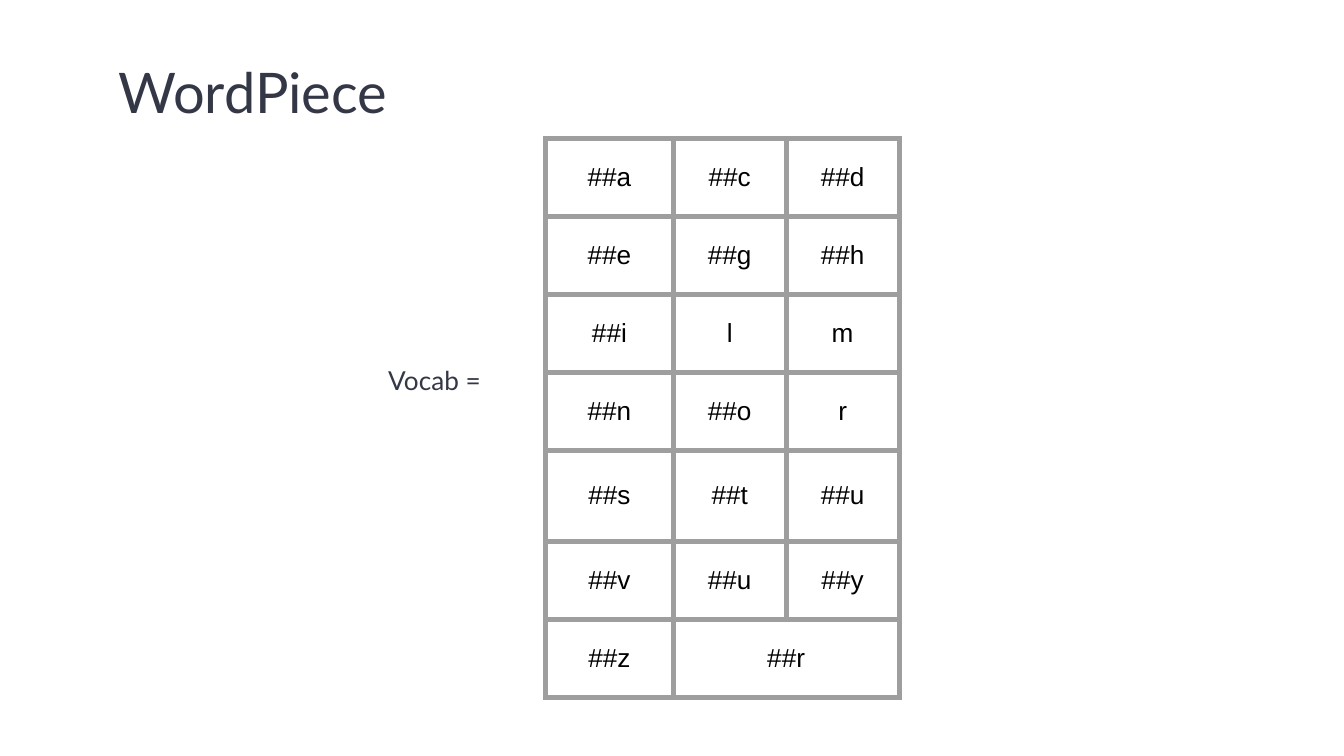
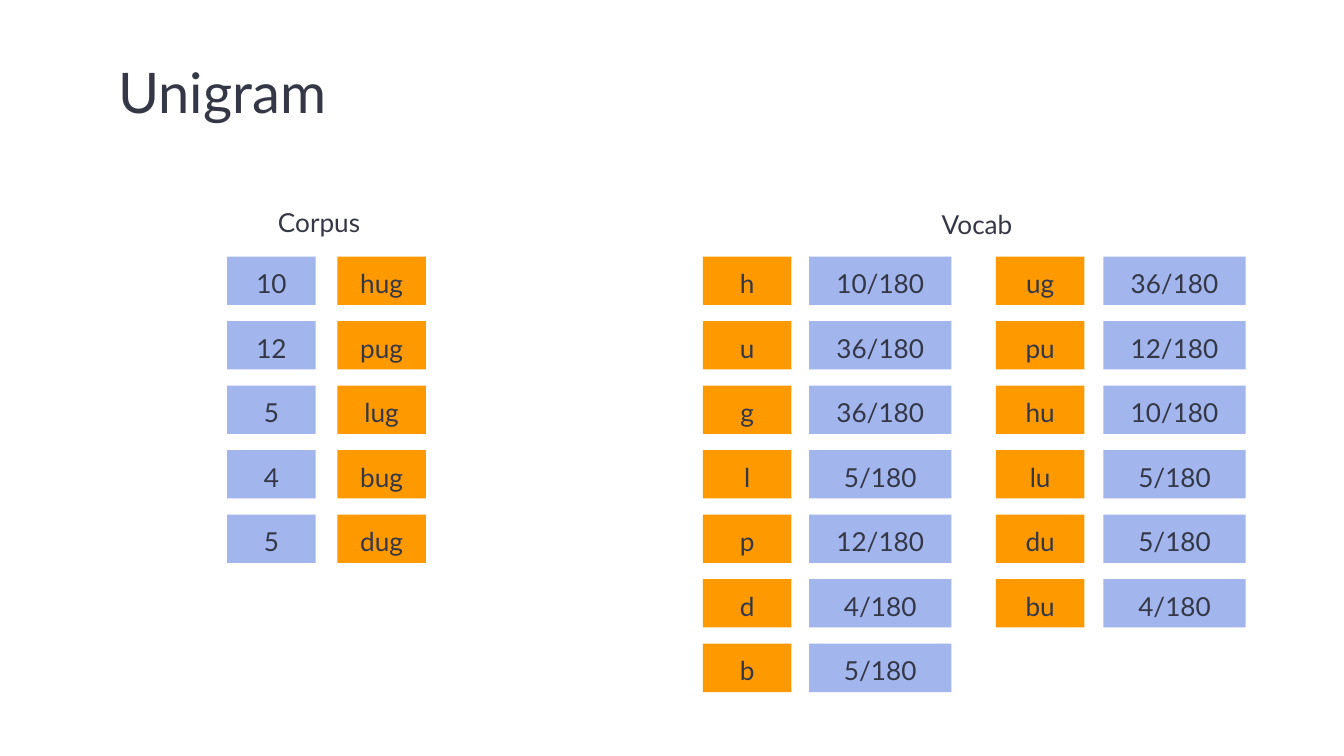
from lxml.etree import SubElement
from pptx import Presentation
from pptx.dml.color import RGBColor
from pptx.enum.shapes import MSO_SHAPE
from pptx.enum.text import MSO_ANCHOR as ANCHOR, MSO_AUTO_SIZE as AUTO_SIZE, PP_ALIGN as ALIGN
from pptx.oxml.ns import qn
from pptx.util import Inches, Pt

# Content
PIECES = [
    ["##a", "##c", "##d"],
    ["##e", "##g", "##h"],
    ["##i", "l", "m"],
    ["##n", "##o", "r"],
    ["##s", "##t", "##u"],
    ["##v", "##u", "##y"],
    ["##z", "##r"],
]
CORPUS = [("10", "hug"), ("12", "pug"), ("5", "lug"), ("4", "bug"), ("5", "dug")]
CHARACTERS = [
    ("h", "10/180"), ("u", "36/180"), ("g", "36/180"), ("l", "5/180"),
    ("p", "12/180"), ("d", "4/180"), ("b", "5/180"),
]
PAIRS = [
    ("ug", "36/180"), ("pu", "12/180"), ("hu", "10/180"),
    ("lu", "5/180"), ("du", "5/180"), ("bu", "4/180"),
]

# Shared style
SLIDE_WIDTH = 10
SLIDE_HEIGHT = SLIDE_WIDTH * 9 / 16
INK, BLACK, GRID = "333746", "000000", "9E9E9E"
TOKEN, COUNT = "FF9900", "A3B5ED"
BODY_FONT, TABLE_FONT = "Lato", "Arial"
TITLE_SIZE, BODY_SIZE = 30, 14
LINE_SPACING = 1.15
INSET = 0.1

# Table tracks and chip grid, in inches
PIECE_COLUMNS = [0.95, 0.84, 0.84]
PIECE_ROWS = [0.58] * 4 + [0.68] + [0.58] * 2
CHIP_TOP, CHIP_PITCH, CHIP_HEIGHT = 1.91, 0.48, 0.36
NARROW, WIDE = 0.66, 1.06


def color(value):
    return RGBColor.from_string(value)


def box(*lengths):
    return [Inches(length) for length in lengths]


def write(frame, text, size=BODY_SIZE, align=ALIGN.LEFT, anchor=ANCHOR.TOP):
    frame.word_wrap = True
    frame.auto_size = AUTO_SIZE.NONE
    frame.vertical_anchor = anchor
    set_insets(frame)
    paragraph = frame.paragraphs[0]
    paragraph.line_spacing = LINE_SPACING
    add_run(paragraph, text, size, align, BODY_FONT, INK)


def set_insets(holder):
    holder.margin_left = holder.margin_right = Inches(INSET)
    holder.margin_top = holder.margin_bottom = Inches(INSET)


def add_run(paragraph, text, size, align, font_name, ink):
    paragraph.alignment = align
    run = paragraph.add_run()
    run.text = text
    run.font.size = Pt(size)
    run.font.name = font_name
    run.font.color.rgb = color(ink)


def add_titled_slide(deck, title):
    slide = deck.slides.add_slide(deck.slide_layouts[5])
    heading = slide.shapes.title
    heading.left, heading.top, heading.width, heading.height = box(0.78, 0.25, 8.3, 0.77)
    write(heading.text_frame, title, TITLE_SIZE)
    return slide


def add_label(slide, text, place, **style):
    write(slide.shapes.add_textbox(*box(*place)).text_frame, text, **style)


def outline(cell, hex_color, width):
    """Draw all four borders of a cell; they must precede its fill in the XML."""
    properties = cell._tc.get_or_add_tcPr()
    for position, side in enumerate(("a:lnL", "a:lnR", "a:lnT", "a:lnB")):
        line = SubElement(properties, qn(side), w=str(Pt(width)))
        fill = SubElement(line, qn("a:solidFill"))
        SubElement(fill, qn("a:srgbClr"), val=hex_color)
        properties.insert(position, line)


def add_piece_table(slide, left, top):
    frame = slide.shapes.add_table(
        len(PIECE_ROWS), len(PIECE_COLUMNS),
        *box(left, top, sum(PIECE_COLUMNS), sum(PIECE_ROWS)))
    table = frame.table
    table.first_row = table.horz_banding = False
    for column, width in zip(table.columns, PIECE_COLUMNS):
        column.width = Inches(width)
    for row, height in zip(table.rows, PIECE_ROWS):
        row.height = Inches(height)
    for cell in table.iter_cells():
        cell.fill.background()
        outline(cell, GRID, 3)
    last = len(PIECE_COLUMNS) - 1
    for r, pieces in enumerate(PIECES):
        if len(pieces) <= last:
            table.cell(r, len(pieces) - 1).merge(table.cell(r, last))
        for c, piece in enumerate(pieces):
            cell = table.cell(r, c)
            cell.vertical_anchor = ANCHOR.MIDDLE
            set_insets(cell)
            add_run(cell.text_frame.paragraphs[0], piece, BODY_SIZE,
                    ALIGN.CENTER, TABLE_FONT, BLACK)


def add_chips(slide, pairs, columns):
    """Lay out pairs in rows; each column is (left, width, fill)."""
    for row, pair in enumerate(pairs):
        top = CHIP_TOP + row * CHIP_PITCH
        for text, (left, width, fill) in zip(pair, columns):
            chip = slide.shapes.add_shape(
                MSO_SHAPE.RECTANGLE, *box(left, top, width, CHIP_HEIGHT))
            chip.shadow.inherit = False
            chip.fill.solid()
            chip.fill.fore_color.rgb = color(fill)
            chip.line.fill.background()
            write(chip.text_frame, text, align=ALIGN.CENTER, anchor=ANCHOR.MIDDLE)


def main():
    deck = Presentation()
    deck.slide_width, deck.slide_height = box(SLIDE_WIDTH, SLIDE_HEIGHT)

    wordpiece = add_titled_slide(deck, "WordPiece")
    add_piece_table(wordpiece, 4.06, 1.03)
    add_label(wordpiece, "Vocab =", (2.79, 2.58, 1.01, 0.46))

    unigram = add_titled_slide(deck, "Unigram")
    add_label(unigram, "Corpus", (1.97, 1.4, 0.96, 0.5))
    add_label(unigram, "Vocab", (6.79, 1.4, 0.96, 0.5),
              align=ALIGN.CENTER, anchor=ANCHOR.MIDDLE)
    add_chips(unigram, CORPUS, [(1.69, NARROW, COUNT), (2.51, NARROW, TOKEN)])
    add_chips(unigram, CHARACTERS, [(5.23, NARROW, TOKEN), (6.02, WIDE, COUNT)])
    add_chips(unigram, PAIRS, [(7.41, NARROW, TOKEN), (8.21, WIDE, COUNT)])

    deck.save("out.pptx")


if __name__ == "__main__":
    main()
